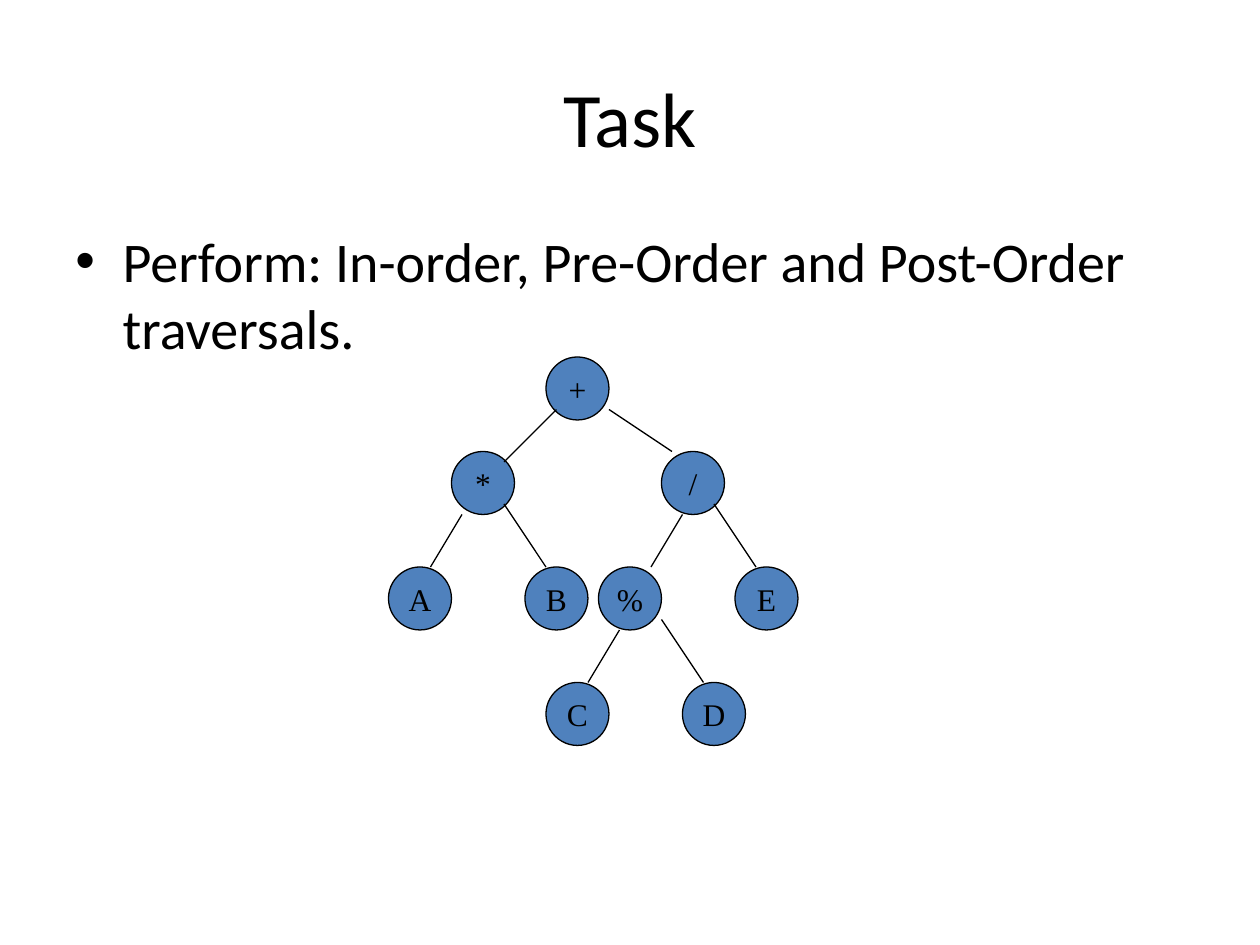
from lxml.etree import SubElement
from pptx import Presentation
from pptx.dml.color import RGBColor
from pptx.enum.shapes import MSO_CONNECTOR, MSO_SHAPE
from pptx.enum.text import MSO_ANCHOR, PP_ALIGN
from pptx.oxml.ns import qn
from pptx.util import Pt

BLACK = RGBColor(0x00, 0x00, 0x00)
BLUE = RGBColor(0x4F, 0x81, 0xBD)
NODE_SIZE = 36
LINE_WIDTH = 0.75

# Tree nodes: label, left, top
NODES = [
    ("+", 312, 204),
    ("*", 258, 258), ("/", 378, 258),
    ("A", 222, 324), ("B", 300, 324), ("%", 342, 324), ("E", 420, 324),
    ("C", 312, 390), ("D", 390, 390),
]

# Tree branches: start x, start y, end x, end y
BRANCHES = [
    (318, 234, 288, 264), (348, 234, 384, 258),
    (264, 294, 246, 324), (288, 288, 312, 324),
    (390, 294, 372, 324), (408, 288, 432, 324),
    (354, 360, 336, 390), (378, 354, 402, 390),
]


def write_text(text_frame, text, font_name, size):
    text_frame.text = text
    paragraph = text_frame.paragraphs[0]
    font = paragraph.runs[0].font
    font.name = font_name
    font.size = Pt(size)
    font.color.rgb = BLACK
    return paragraph


def add_text(slide, text, left, top, width, height, size):
    box = slide.shapes.add_textbox(Pt(left), Pt(top), Pt(width), Pt(height))
    box.text_frame.word_wrap = True
    return box.text_frame, write_text(box.text_frame, text, "Calibri", size)


def add_bullet(paragraph, indent):
    properties = paragraph._p.get_or_add_pPr()
    properties.set("marL", str(Pt(indent)))
    properties.set("indent", str(-Pt(indent)))
    SubElement(properties, qn("a:buFont")).set("typeface", "Arial")
    SubElement(properties, qn("a:buChar")).set("char", "•")


def add_node(group, label, left, top):
    shape = group.shapes.add_shape(
        MSO_SHAPE.OVAL, Pt(left), Pt(top), Pt(NODE_SIZE), Pt(NODE_SIZE))
    shape.shadow.inherit = False
    shape.fill.solid()
    shape.fill.fore_color.rgb = BLUE
    shape.line.color.rgb = BLACK
    shape.line.width = Pt(LINE_WIDTH)
    text_frame = shape.text_frame
    text_frame.word_wrap = False
    text_frame.vertical_anchor = MSO_ANCHOR.MIDDLE
    paragraph = write_text(text_frame, label, "Times New Roman", 18)
    paragraph.alignment = PP_ALIGN.CENTER


def add_branch(group, *ends):
    connector = group.shapes.add_connector(
        MSO_CONNECTOR.STRAIGHT, *[Pt(end) for end in ends])
    connector.line.color.rgb = BLACK
    connector.line.width = Pt(LINE_WIDTH)
    SubElement(connector._element.spPr, qn("a:effectLst"))


def main():
    presentation = Presentation()
    presentation.slide_width = Pt(720)
    presentation.slide_height = Pt(540)
    slide = presentation.slides.add_slide(presentation.slide_layouts[6])

    # Title
    title_frame, title = add_text(slide, "Task", 36, 21.6, 648, 90, 44)
    title_frame.vertical_anchor = MSO_ANCHOR.MIDDLE
    title.alignment = PP_ALIGN.CENTER

    # Task statement
    task = "Perform: In-order, Pre-Order and Post-Order traversals."
    _, statement = add_text(slide, task, 36, 126, 648, 356.4, 32)
    statement.space_before = Pt(6.4)
    add_bullet(statement, 27)

    # Expression tree
    tree = slide.shapes.add_group_shape()
    for node in NODES:
        add_node(tree, *node)
    for branch in BRANCHES:
        add_branch(tree, *branch)

    presentation.save("out.pptx")


main()
